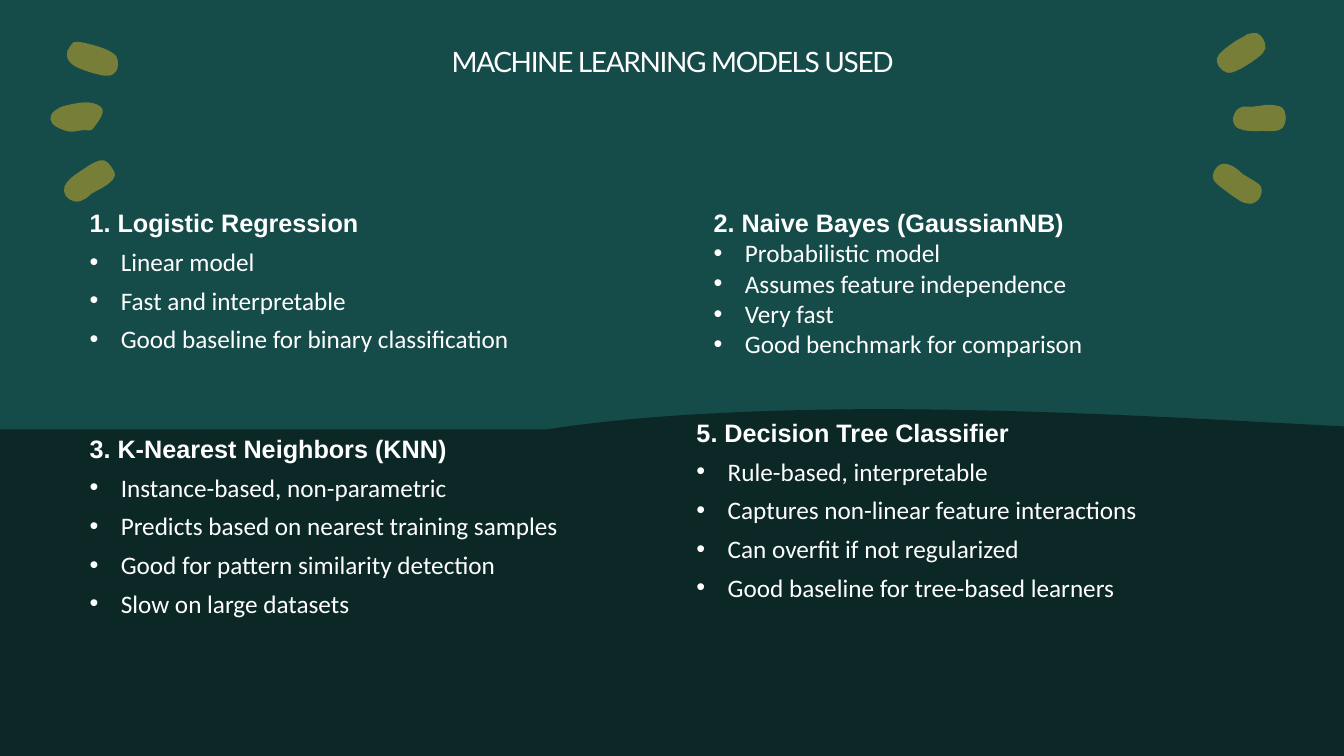
import math

import pptx
import pptx.dml.color
import pptx.enum.shapes
import pptx.enum.text
import pptx.oxml
import pptx.oxml.ns
import pptx.util

WIDTH, HEIGHT = 13.33, 7.5
TEAL, DARK, OLIVE, WHITE = "154C4A", "0B2827", "767E37", "FFFFFF"
INDENT = 0.31

LEFT_DASHES = [
    [(59, 141), (52, 146), (41, 152), (35, 157), (25, 160), (15, 154), (14, 145),
     (20, 137), (28, 131), (34, 127), (44, 121), (53, 119), (60, 125), (64, 134)],
    [(42, 88), (33, 89), (16, 90), (0, 78), (14, 65), (50, 66)],
    [(31, 2), (23, 2), (19, 7), (17, 10), (17, 18), (22, 24), (29, 28), (48, 34),
     (59, 35), (65, 31), (67, 25), (66, 17), (61, 12), (50, 7)],
]
RIGHT_DASHES = [
    [(65, 100), (54, 100), (40, 100), (33, 99), (26, 96), (23, 90), (23, 87), (26, 80),
     (32, 76), (41, 76), (57, 74), (61, 74), (72, 77), (75, 84), (75, 90), (72, 97)],
    [(12, 21), (25, 11), (34, 6), (37, 4), (47, 3), (53, 9), (55, 18), (49, 26),
     (27, 40), (17, 42), (9, 36), (7, 28)],
    [(4, 149), (3, 144), (4, 140), (6, 137), (11, 133), (18, 133), (26, 137), (33, 143),
     (43, 149), (51, 156), (49, 167), (42, 172), (38, 172), (31, 170), (10, 155)],
]
MODELS = [
    ((0.79, 2.01, 5.27, 1.57), 6, "1. Logistic Regression",
     ["Linear model", "Fast and interpretable", "Good baseline for binary classification"]),
    ((0.79, 4.25, 5.27, 2.34), 6, "3. K-Nearest Neighbors (KNN)",
     ["Instance-based, non-parametric", "Predicts based on nearest training samples",
      "Good for pattern similarity detection", "Slow on large datasets"]),
    ((6.81, 4.09, 5.74, 2.34), 6, "5. Decision Tree Classifier",
     ["Rule-based, interpretable", "Captures non-linear feature interactions",
      "Can overfit if not regularized", "Good baseline for tree-based learners"]),
    ((6.98, 2.01, 5.74, 1.92), 0, "2. Naive Bayes (GaussianNB)",
     ["Probabilistic model", "Assumes feature independence", "Very fast",
      "Good benchmark for comparison"]),
]


def color(value):
    """Turn a hex string into a colour."""
    return pptx.dml.color.RGBColor.from_string(value)


def paint(shape, fill):
    """Give a shape a flat fill without line or shadow."""
    shape.shadow.inherit = False
    shape.fill.solid()
    shape.fill.fore_color.rgb = color(fill)
    shape.line.fill.background()


def handle(point, before, after, length):
    """Find the curve handle at a point, parallel to the line between its neighbours."""
    share = length / math.dist(before, after)
    return tuple(p + (a - b) * share for p, a, b in zip(point, after, before))


def smooth_loop(anchors):
    """List the curve segments of a closed outline through its anchors."""
    segments = []
    for index, start in enumerate(anchors):
        before = anchors[index - 1]
        end, after = (anchors[(index + offset) % len(anchors)] for offset in (1, 2))
        length = math.dist(start, end) / 3
        segments.append([handle(start, before, end, length),
                         handle(end, after, start, length), end])
    return segments


def add_outline(shapes, start, segments, fill):
    """Draw a closed outline of lines (one point) and curves (three points) in inches."""
    def corner(point):
        return tuple(pptx.util.Inches(value) for value in point)

    builder = shapes.build_freeform(*corner(start), scale=1.0)
    builder.add_line_segments([corner(point) for segment in segments for point in segment])
    shape = builder.convert_to_shape()
    lines = iter(shape._element.findall(".//" + pptx.oxml.ns.qn("a:lnTo")))
    for segment in segments:
        first, *others = [next(lines) for _ in segment]
        if others:
            curve = pptx.oxml.parse_xml(f"<a:cubicBezTo {pptx.oxml.ns.nsdecls('a')}/>")
            first.addprevious(curve)
            for line in (first, *others):
                curve.append(line[0])
                line.getparent().remove(line)
    outline = shape._element.find(".//" + pptx.oxml.ns.qn("a:path"))
    outline.append(pptx.oxml.parse_xml(f"<a:close {pptx.oxml.ns.nsdecls('a')}/>"))
    paint(shape, fill)


def add_dashes(slide, left, top, dashes):
    """Group the brush dashes of one corner, measured in hundredths of an inch."""
    group = slide.shapes.add_group_shape()
    for dash in dashes:
        anchors = [(left + x / 100, top + y / 100) for x, y in dash]
        add_outline(group.shapes, anchors[0], smooth_loop(anchors), OLIVE)


def add_wave(slide):
    """Draw the dark lower part with its curved upper edge."""
    segments = [
        [(6.33, 4.12), (7.4, 4.07), (8.49, 4.06)],
        [(10.22, 4.05), (11.98, 4.16), (13.14, 4.22)],
        [(WIDTH, 4.23)], [(WIDTH, HEIGHT)], [(0, HEIGHT)], [(0, 4.26)],
    ]
    add_outline(slide.shapes, (5.42, 4.26), segments, DARK)


def add_text_box(slide, box):
    """Add a wrapping text box and return its text frame."""
    frame = slide.shapes.add_textbox(*map(pptx.util.Inches, box)).text_frame
    frame.word_wrap = True
    return frame


def write(paragraph, text, **values):
    """Write one white run with the given font values."""
    run = paragraph.add_run()
    run.text = text
    run.font.color.rgb = color(WHITE)
    for name, value in values.items():
        setattr(run.font, name, value)
    return run


def add_title(slide, box, text):
    """Place the centred title in its box."""
    frame = add_text_box(slide, box)
    for side in ("left", "top", "right", "bottom"):
        setattr(frame, "margin_" + side, 0)
    paragraph = frame.paragraphs[0]
    paragraph.alignment = pptx.enum.text.PP_ALIGN.CENTER
    paragraph.line_spacing = 0.9
    run = write(paragraph, text, name="Lato", size=pptx.util.Pt(20))
    run.font._element.set("spc", "-100")


def add_bullet(paragraph):
    """Give a paragraph a round bullet with a hanging indent."""
    properties = paragraph._p.get_or_add_pPr()
    properties.set("marL", str(pptx.util.Inches(INDENT)))
    properties.set("indent", str(-pptx.util.Inches(INDENT)))
    for tag, name, value in (("a:buFont", "typeface", "Arial"), ("a:buChar", "char", "•")):
        element = pptx.oxml.parse_xml(f"<{tag} {pptx.oxml.ns.nsdecls('a')}/>")
        element.set(name, value)
        properties.append(element)


def add_model(slide, box, gap, heading, traits):
    """Place one model's heading and bulleted traits in its box."""
    frame = add_text_box(slide, box)
    frame.auto_size = pptx.enum.text.MSO_AUTO_SIZE.SHAPE_TO_FIT_TEXT
    size = pptx.util.Pt(18)
    write(frame.paragraphs[0], heading, name="Arial", size=size, bold=True)
    for trait in traits:
        paragraph = frame.add_paragraph()
        add_bullet(paragraph)
        write(paragraph, trait, name="Calibri", size=size, bold=False)
    for paragraph in frame.paragraphs:
        paragraph.space_after = pptx.util.Pt(gap)


def build_models_slide(presentation):
    """Build the slide that lists the models."""
    slide = presentation.slides.add_slide(presentation.slide_layouts[6])
    slide.background.fill.solid()
    slide.background.fill.fore_color.rgb = color(DARK)
    backdrop = slide.shapes.add_shape(
        pptx.enum.shapes.MSO_SHAPE.RECTANGLE, 0, 0,
        presentation.slide_width, presentation.slide_height)
    paint(backdrop, TEAL)
    add_title(slide, (1.48, 0.48, 10.38, 0.63), "MACHINE LEARNING MODELS USED")
    add_dashes(slide, 0.5, 0.4, LEFT_DASHES)
    add_dashes(slide, 12, 0.3, RIGHT_DASHES)
    add_wave(slide)
    for model in MODELS:
        add_model(slide, *model)


def main():
    """Create and save the presentation."""
    presentation = pptx.Presentation()
    presentation.slide_width = pptx.util.Inches(WIDTH)
    presentation.slide_height = pptx.util.Inches(HEIGHT)
    build_models_slide(presentation)
    presentation.save("out.pptx")


if __name__ == "__main__":
    main()
